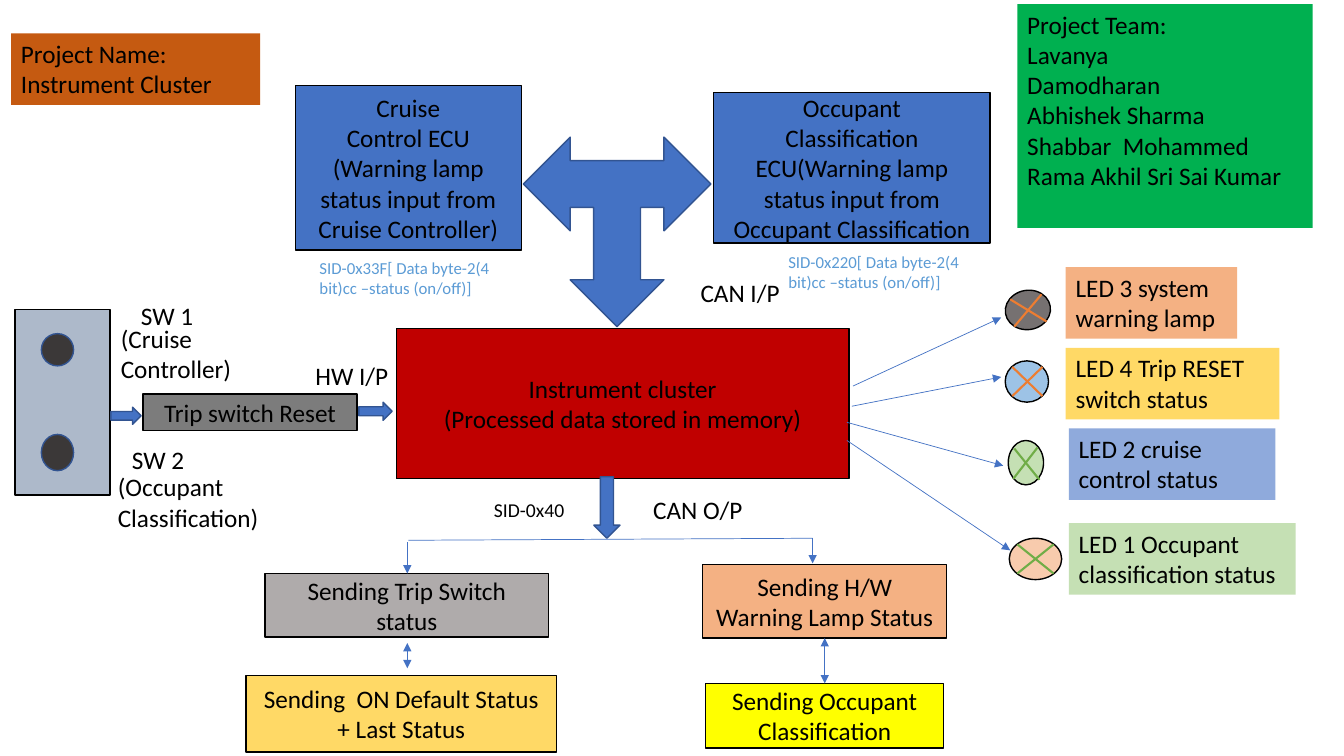
from pptx import Presentation
from pptx import util as u
from pptx.dml.color import RGBColor
from pptx.enum import shapes, text
from pptx.oxml.ns import qn
from lxml import etree

KIND = shapes.MSO_SHAPE
BLUE, EDGE, BLACK = "4472C4", "325491", "000000"
ORANGE, GREEN, SKY = "ED7D31", "70AD47", "5B9BD5"


def color(code):
    """Turn a hex string into a colour."""
    return RGBColor.from_string(code)


def inches(*sizes):
    """Turn numbers into lengths."""
    return [u.Inches(size) for size in sizes]


class Board:
    """Holds the style and the current slide."""

    font = "Calibri"
    size = 18
    thin = 0.5
    left = {"word_wrap": True, "vertical_anchor": text.MSO_ANCHOR.TOP}
    mid = {"word_wrap": True, "vertical_anchor": text.MSO_ANCHOR.MIDDLE}

    def __init__(self, deck):
        """Add a blank slide."""
        self.slide = deck.slides.add_slide(deck.slide_layouts[6])

    def words(self, shape, lines, size=None, ink=BLACK, center=False):
        """Put one paragraph per line into a shape."""
        frame = shape.text_frame
        for name, value in (self.mid if center else self.left).items():
            setattr(frame, name, value)
        align = text.PP_ALIGN.CENTER if center else text.PP_ALIGN.LEFT
        style = {"name": self.font, "size": u.Pt(size or self.size)}
        for i, line in enumerate(lines.split("\n")):
            para = frame.paragraphs[0] if i == 0 else frame.add_paragraph()
            para.alignment = align
            run = para.add_run()
            run.text = line
            run.font.color.rgb = color(ink)
            for name, value in style.items():
                setattr(run.font, name, value)

    def shape(self, kind, box, fill, edge=None, turn=0):
        """Draw a preset shape."""
        item = self.slide.shapes.add_shape(kind, *inches(*box))
        item.shadow.inherit = False
        item.rotation = turn
        item.fill.solid()
        item.fill.fore_color.rgb = color(fill)
        if edge:
            item.line.color.rgb = color(edge)
            item.line.width = u.Pt(1)
        else:
            item.line.fill.background()
        return item

    def block(self, box, fill, lines):
        """Draw an outlined box with centred text."""
        self.words(self.shape(KIND.RECTANGLE, box, fill, BLACK), lines, center=True)

    def panel(self, box, fill, lines):
        """Draw a plain box with text at the left."""
        self.words(self.shape(KIND.RECTANGLE, box, fill), lines)

    def label(self, box, lines, size=None, ink=BLACK):
        """Add a text box."""
        self.words(self.slide.shapes.add_textbox(*inches(*box)), lines, size, ink)

    def line(self, ends, ink=BLUE, width=None, tips=()):
        """Draw a straight line, with arrow tips at headEnd or tailEnd."""
        item = self.slide.shapes.add_connector(
            shapes.MSO_CONNECTOR.STRAIGHT, *inches(*ends))
        item.line.color.rgb = color(ink)
        item.line.width = u.Pt(width or self.thin)
        props = item._element.spPr
        for tip in tips:
            etree.SubElement(props.find(qn("a:ln")), qn("a:" + tip), type="triangle")
        etree.SubElement(props, qn("a:effectLst"))

    def lamp(self, box, fill, ink, strokes, turn=0):
        """Draw a lamp: an ellipse with two crossing strokes."""
        self.shape(KIND.OVAL, box, fill, BLACK, turn)
        for ends in strokes:
            self.line(ends, ink, 1.5)


deck = Presentation()
deck.slide_width, deck.slide_height = inches(13.33, 7.5)
board = Board(deck)

blocks = [
    ((2.93, 0.85, 2.24, 1.63), BLUE,
     "Cruise\nControl ECU\n(Warning lamp status input from Cruise Controller)"),
    ((7.08, 0.92, 2.74, 1.49), BLUE,
     "Occupant\nClassification ECU(Warning lamp status input from "
     "Occupant Classification"),
    ((3.93, 3.26, 4.49, 1.49), "C00000",
     "Instrument cluster\n(Processed data stored in memory)"),
    ((1.42, 3.91, 2.12, 0.36), "7C7C7C", "Trip switch Reset"),
    ((2.63, 5.69, 2.81, 0.63), "AFABAB", "Sending Trip Switch\nstatus"),
    ((2.44, 6.7, 3.08, 0.76), "FFD966", "Sending  ON Default Status + Last Status"),
    ((6.97, 5.6, 2.42, 0.73), "F4B183", "Sending H/W Warning Lamp Status"),
    ((7, 6.78, 2.36, 0.64), "FFFF00", "Sending Occupant Classification"),
]
for block in blocks:
    board.block(*block)

panels = [
    ((0.11, 0.33, 2.47, 0.71), "C55A11", "Project Name:\nInstrument Cluster"),
    ((10.09, 0.04, 2.93, 2.22), "00B050",
     "Project Team:\nLavanya\nDamodharan\nAbhishek Sharma\n"
     "Shabbar  Mohammed\nRama Akhil Sri Sai Kumar"),
    ((10.57, 2.65, 1.7, 0.71), "F4B183", "LED 3 system warning lamp"),
    ((10.57, 3.45, 2.12, 0.71), "FFD966", "LED 4 Trip RESET switch status"),
    ((10.6, 4.25, 2.05, 0.71), "8FAADC", "LED 2 cruise control status"),
    ((10.6, 5.19, 2.25, 0.71), "C5E0B4", "LED 1 Occupant classification status"),
]
for panel in panels:
    board.panel(*panel)

lamps = [
    ((9.97, 2.88, 0.45, 0.39), "767171", ORANGE,
     [(10.02, 2.97, 10.38, 3.19), (10.33, 2.92, 10.06, 3.24)], 350.7),
    ((9.97, 3.58, 0.43, 0.41), "9DC3E6", ORANGE,
     [(10.04, 3.64, 10.34, 3.93), (10.34, 3.64, 10.04, 3.93)]),
    ((10, 4.37, 0.35, 0.44), "C5E0B4", GREEN,
     [(10.06, 4.45, 10.31, 4.76), (10.29, 4.44, 10.05, 4.75)]),
    ((10.01, 5.34, 0.52, 0.41), "F8CBAD", GREEN,
     [(10.45, 5.4, 10.09, 5.69), (10.09, 5.4, 10.45, 5.69)]),
]
for lamp in lamps:
    board.lamp(*lamp)

# Switch box with its two knobs
board.shape(KIND.RECTANGLE, (0.15, 3.07, 0.94, 1.84), "ADB9CA", BLACK)
for top, high in [(3.31, 0.32), (4.31, 0.36)]:
    board.shape(KIND.OVAL, (0.41, top, 0.32, high), "3B3838", EDGE)

arrows = [
    (KIND.RIGHT_ARROW, (1.1, 4.04, 0.3, 0.17), 0),
    (KIND.RIGHT_ARROW, (3.56, 3.99, 0.33, 0.18), 0),
    (KIND.DOWN_ARROW, (5.89, 4.73, 0.26, 0.61), 0),
    (KIND.LEFT_RIGHT_UP_ARROW, (5.19, 1.36, 1.86, 1.88), 180),
]
for kind, box, turn in arrows:
    board.shape(kind, box, BLUE, EDGE, turn)

one, both = ["tailEnd"], ["headEnd", "tailEnd"]
links = [
    ((4.05, 5.36, 8.06, 5.34), []),
    ((4.04, 5.38, 4.04, 5.69), one),
    ((8.06, 5.34, 8.06, 5.59), one),
    ((4.04, 6.38, 4.04, 6.63), both),
    ((8.18, 6.33, 8.18, 6.78), both),
    ((8.46, 3.83, 9.93, 3.15), one),
    ((8.45, 4.03, 9.93, 3.74), one),
    ((8.4, 4.19, 9.95, 4.62), one),
    ((8.4, 4.37, 10.02, 5.46), one),
]
for ends, tips in links:
    board.line(ends, tips=tips)

labels = [
    ((1.3, 2.93, 0.94, 0.4), "SW 1"),
    ((1.1, 3.16, 1.77, 0.71), "(Cruise Controller)"),
    ((1.21, 4.36, 0.94, 0.4), "SW 2"),
    ((1.07, 4.63, 2.18, 0.71), "(Occupant Classification)"),
    ((3.03, 3.53, 1.46, 0.4), "HW I/P"),
    ((6.85, 2.7, 1.54, 0.4), "CAN I/P"),
    ((6.38, 4.86, 1.24, 0.4), "CAN O/P"),
    ((4.8, 4.89, 1.41, 0.34), "SID-0x40", 14),
    ((3.07, 2.51, 2.22, 0.5),
     "SID-0x33F[ Data byte-2(4 bit)cc –status (on/off)]", 12, SKY),
    ((7.72, 2.45, 2.1, 0.5),
     "SID-0x220[ Data byte-2(4 bit)cc –status (on/off)]", 12, SKY),
]
for label in labels:
    board.label(*label)

deck.save("out.pptx")
